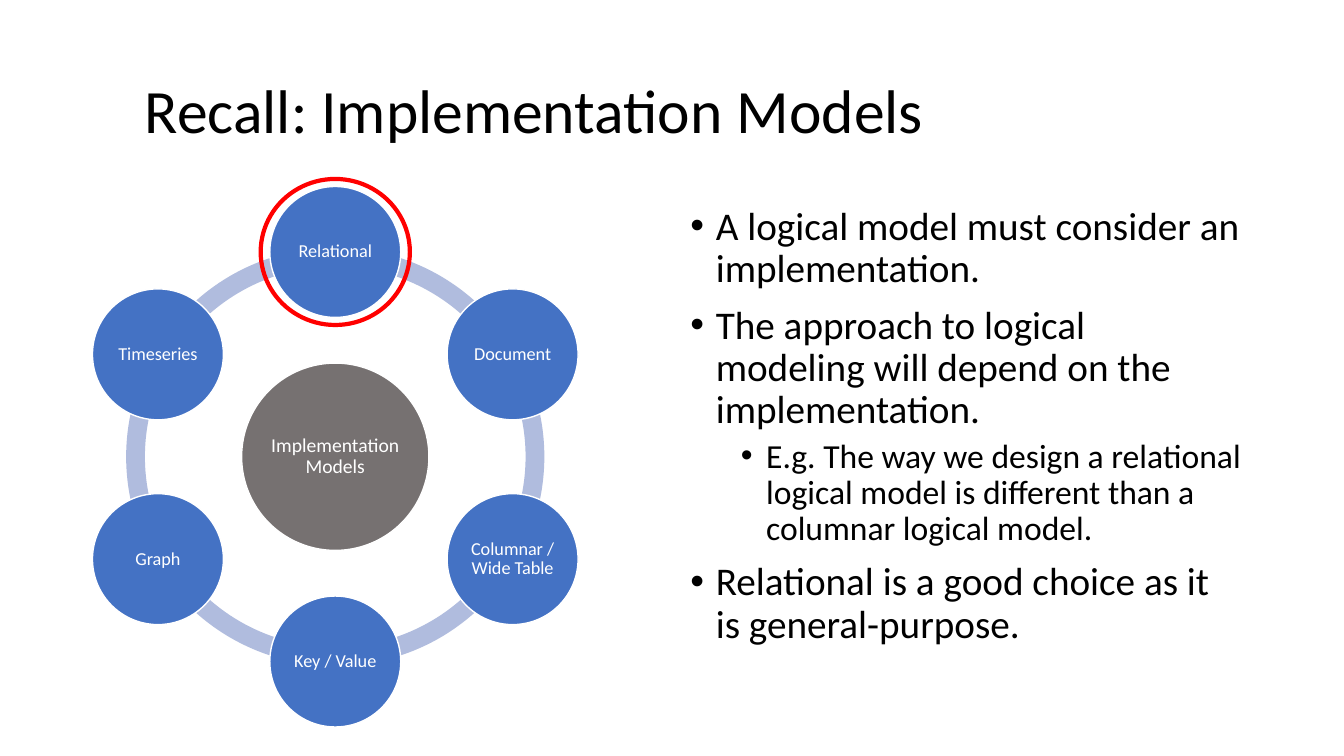
import math

import lxml.etree
import pptx
import pptx.dml.color
import pptx.enum.shapes
import pptx.enum.text
import pptx.oxml.ns
import pptx.util

Cm = pptx.util.Cm
Pt = pptx.util.Pt
SHAPES = pptx.enum.shapes.MSO_SHAPE
ALIGN = pptx.enum.text.PP_ALIGN
ANCHOR = pptx.enum.text.MSO_ANCHOR

COLOURS = {
    "text": "000000",
    "light": "FFFFFF",
    "node": "4472C4",
    "hub": "767171",
    "ring": "B0BCDE",
    "highlight": "FF0000",
}
MODELS = ["Relational", "Document", "Columnar / Wide Table",
          "Key / Value", "Graph", "Timeseries"]
POINTS = [
    (0, "A logical model must consider an implementation."),
    (0, "The approach to logical modeling will depend on the implementation."),
    (1, "E.g. The way we design a relational logical model is different "
        "than a columnar logical model."),
    (0, "Relational is a good choice as it is general-purpose."),
]
POINT_STYLES = [
    {"size": 28, "before": 10, "bullet_indent": 0.64},
    {"size": 24, "before": 5, "bullet_indent": 1.91},
]
BULLET_HANG = 0.64

HUB_X, HUB_Y = 8.45, 11.51
ORBIT_RADIUS = 5.16
RING_SIZE, NODE_SIZE, HUB_SIZE = 10.54, 3.3, 4.72
RING_THICKNESS = 0.045
STEP = 360 / len(MODELS)


def rgb(name):
    return pptx.dml.color.RGBColor.from_string(COLOURS[name])


def write(para, text, size=28, colour="text", align=ALIGN.LEFT, before=0,
          bullet_indent=None):
    """Fill a paragraph; bullet_indent is the text indent in cm of a bulleted one."""
    para.alignment = align
    para.line_spacing = 0.9
    para.space_before = Pt(before)
    span = para.add_run()
    span.text = text
    span.font.name = "Calibri"
    span.font.size = Pt(size)
    span.font.color.rgb = rgb(colour)
    if bullet_indent is not None:
        props = para._p.get_or_add_pPr()
        props.set("marL", str(Cm(bullet_indent)))
        props.set("indent", str(-Cm(BULLET_HANG)))
        for tag, key, value in (("a:buFont", "typeface", "Arial"),
                                ("a:buChar", "char", "•")):
            lxml.etree.SubElement(props, pptx.oxml.ns.qn(tag)).set(key, value)


class Page:
    """Holds the current slide and draws styled elements on it, in cm."""

    def __init__(self, slide):
        self.slide = slide

    def text_box(self, left, top, width, height, anchor=ANCHOR.TOP):
        box = self.slide.shapes.add_textbox(
            Cm(left), Cm(top), Cm(width), Cm(height))
        box.text_frame.word_wrap = True
        box.text_frame.vertical_anchor = anchor
        return box.text_frame

    def centred_shape(self, kind, x, y, width, height, fill=None, line=None,
                      weight=1):
        shape = self.slide.shapes.add_shape(
            kind, Cm(x - width / 2), Cm(y - height / 2), Cm(width), Cm(height))
        shape.shadow.inherit = False
        if fill:
            shape.fill.solid()
            shape.fill.fore_color.rgb = rgb(fill)
        else:
            shape.fill.background()
        if line:
            shape.line.color.rgb = rgb(line)
            shape.line.width = Pt(weight)
        else:
            shape.line.fill.background()
        return shape

    def circle(self, x, y, diameter, text, fill, size):
        circle = self.centred_shape(SHAPES.OVAL, x, y, diameter, diameter,
                                    fill, "light")
        frame = circle.text_frame
        frame.word_wrap = True
        frame.vertical_anchor = ANCHOR.MIDDLE
        frame.margin_left = frame.margin_right = Cm(0.05)
        frame.margin_top = frame.margin_bottom = Cm(0.05)
        write(frame.paragraphs[0], text, size=size, colour="light",
              align=ALIGN.CENTER)

    def ring_arc(self, start):
        arc = self.centred_shape(SHAPES.BLOCK_ARC, HUB_X, HUB_Y,
                                 RING_SIZE, RING_SIZE, "ring")
        # Angles are stored in 1/60000 degree, adjustments in units of 100000.
        arc.adjustments[0] = start % 360 * 0.6
        arc.adjustments[1] = (start + STEP) % 360 * 0.6
        arc.adjustments[2] = RING_THICKNESS

    def model_wheel(self):
        angles = [-90 + STEP * i for i in range(len(MODELS))]
        for angle in angles:
            self.ring_arc(angle)
        self.circle(HUB_X, HUB_Y, HUB_SIZE, "Implementation Models", "hub", 14)
        for angle, model in zip(angles, MODELS):
            turn = math.radians(angle)
            self.circle(HUB_X + ORBIT_RADIUS * math.cos(turn),
                        HUB_Y + ORBIT_RADIUS * math.sin(turn),
                        NODE_SIZE, model, "node", 13)


def main():
    deck = pptx.Presentation()
    deck.slide_width, deck.slide_height = Cm(33.87), Cm(19.05)
    page = Page(deck.slides.add_slide(deck.slide_layouts[6]))

    title = page.text_box(3.4, 1.02, 28.14, 3.68, ANCHOR.MIDDLE)
    write(title.paragraphs[0], "Recall: Implementation Models", size=44)

    page.model_wheel()

    body = page.text_box(17.15, 5.08, 14.4, 12.09)
    for i, (level, text) in enumerate(POINTS):
        para = body.add_paragraph() if i else body.paragraphs[0]
        para.level = level
        write(para, text, **POINT_STYLES[level])

    page.centred_shape(SHAPES.OVAL, HUB_X, HUB_Y - ORBIT_RADIUS, 3.76, 3.68,
                       line="highlight", weight=3)
    deck.save("out.pptx")


if __name__ == "__main__":
    main()
